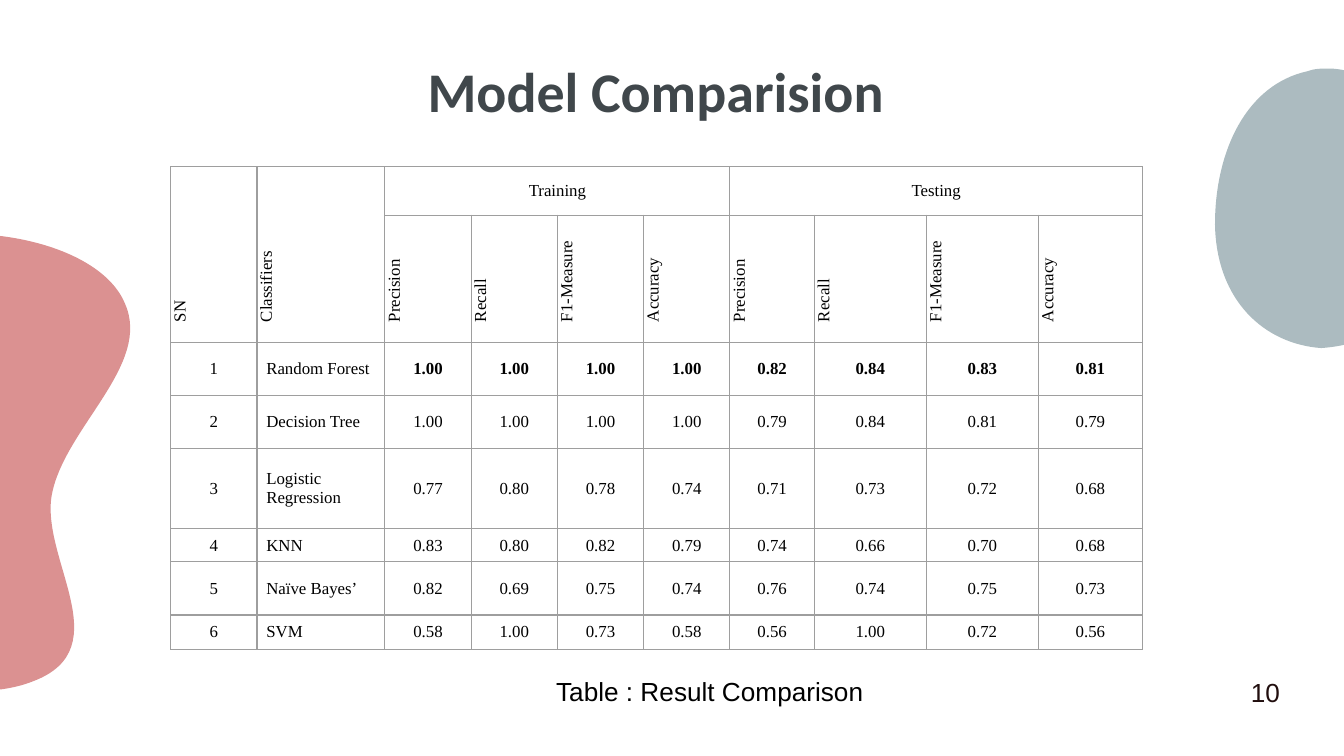
from math import cos, radians, sin
from lxml.etree import SubElement
from pptx import Presentation
from pptx.dml.color import RGBColor
from pptx.enum.text import MSO_ANCHOR as Anchor, PP_ALIGN as Align
from pptx.oxml.ns import qn
from pptx.util import Inches, Pt

COLORS = {
    "coral": "DB9191", "mist": "ACBBC0", "title": "40474B",
    "ink": "000000", "number": "210E0E", "grid": "9E9E9E",
}
UNITS_PER_INCH = 1000
CORAL_CENTER = (-1.31, 2.78)
CORAL_BLOB = [
    (-1.7, 1.12),
    (-1.62, 1.6), (-1.61, 2.1), (-0.92, 1.85),
    (-0.24, 1.6), (0.74, 1.8), (0.93, 2.26),
    (1.13, 2.71), (0.5, 3.17), (0.39, 3.66),
    (0.28, 4.14), (0.9, 4.82), (0.25, 5.07),
    (-0.39, 5.33), (-1.81, 4.88), (-1.53, 4.17),
    (-1.26, 3.45), (-1.92, 3.09), (-2.49, 2.68),
    (-3.06, 2.26), (-3.57, 1.06), (-2.88, 0.65),
    (-2.18, 0.24), (-1.77, 0.63), (-1.7, 1.12),
]
MIST_BLOB = [
    (9.88, 0.51),
    (9.83, 0.51), (9.78, 0.51), (9.73, 0.53),
    (9.27, 0.63), (9.04, 1.13), (9.04, 1.67),
    (9.05, 2.24), (9.41, 2.56), (9.83, 2.59),
    (10.39, 2.55), (10.55, 2.21), (10.59, 1.65),
    (10.63, 1.13), (10.38, 0.51), (9.88, 0.51),
]
COLUMN_SPANS = [6.42, 9.52, 6.42, 6.42, 6.42, 6.42, 6.28, 8.34, 8.34, 7.74]
ROW_SPANS = [3.61, 9.45, 3.96, 3.96, 5.97, 2.47, 3.96, 2.55]
MEASURES = ["Precision", "Recall", "F1-Measure", "Accuracy"]
RESULTS = [
    ("Random Forest", "1.00 1.00 1.00 1.00 0.82 0.84 0.83 0.81"),
    ("Decision Tree", "1.00 1.00 1.00 1.00 0.79 0.84 0.81 0.79"),
    ("Logistic Regression", "0.77 0.80 0.78 0.74 0.71 0.73 0.72 0.68"),
    ("KNN", "0.83 0.80 0.82 0.79 0.74 0.66 0.70 0.68"),
    ("Naïve Bayes’", "0.82 0.69 0.75 0.74 0.76 0.74 0.75 0.73"),
    ("SVM", "0.58 1.00 0.73 0.58 0.56 1.00 0.72 0.56"),
]


def grid(units):
    return Inches(units / 10)


def style(paragraph, font_name, size, color, bold=False, align=Align.LEFT):
    paragraph.alignment = align
    font = paragraph.font
    font.name, font.size, font.bold = font_name, Pt(size), bold
    font.color.rgb = RGBColor.from_string(COLORS[color])


def turn_back(points, center, degrees):
    c, s = cos(radians(degrees)), sin(radians(degrees))
    offsets = [(x - center[0], y - center[1]) for x, y in points]
    return [(center[0] + x * c + y * s, center[1] - x * s + y * c) for x, y in offsets]


def bend_segments(outline):
    segments = list(outline._element.iter(qn("a:lnTo")))
    for i in range(0, len(segments), 3):
        curve = segments[i]
        bezier = curve.getparent().makeelement(qn("a:cubicBezTo"))
        curve.addprevious(bezier)
        for segment in segments[i:i + 3]:
            bezier.append(segment[0])
            segment.getparent().remove(segment)


def add_blob(slide, points, color, rotation=0):
    start, *rest = [(x * UNITS_PER_INCH, y * UNITS_PER_INCH) for x, y in points]
    outline = slide.shapes.build_freeform(*start, scale=Inches(1) / UNITS_PER_INCH)
    outline.add_line_segments(rest, close=True)
    blob = outline.convert_to_shape()
    segments = list(blob._element.iter(qn("a:lnTo")))
    for extra in segments[len(rest):]:
        extra.getparent().remove(extra)
    bend_segments(blob)
    blob.rotation = rotation
    blob.shadow.inherit = False
    blob.fill.solid()
    blob.fill.fore_color.rgb = RGBColor.from_string(COLORS[color])
    blob.line.fill.background()


def add_label(slide, text, box, anchor, wrap=True, **look):
    frame = slide.shapes.add_textbox(*map(grid, box)).text_frame
    frame.word_wrap = wrap
    frame.vertical_anchor = anchor
    frame.text = text
    style(frame.paragraphs[0], **look)
    return frame


def add_borders(cell):
    properties = cell._tc.get_or_add_tcPr()
    for side in ("lnL", "lnR", "lnT", "lnB"):
        line = SubElement(properties, qn(f"a:{side}"), w=str(Pt(0.75)))
        fill = SubElement(line, qn("a:solidFill"))
        SubElement(fill, qn("a:srgbClr"), val=COLORS["grid"])


def fill_cell(cell, text, align=Align.CENTER, bold=False, upright=False):
    cell.text = text
    cell.vertical_anchor = Anchor.MIDDLE
    cell.margin_left = cell.margin_right = grid(0.7)
    cell.margin_top = cell.margin_bottom = 0
    add_borders(cell)
    cell.fill.background()
    paragraph = cell.text_frame.paragraphs[0]
    style(paragraph, "Times New Roman", 9, "ink", bold, align)
    if upright:
        cell._tc.tcPr.set("vert", "vert270")
        paragraph.space_before = Pt(5)
        paragraph._p.get_or_add_pPr().set("marL", str(grid(0.8)))


def add_results(slide):
    table = slide.shapes.add_table(
        len(ROW_SPANS), len(COLUMN_SPANS), grid(12.7), grid(12.4),
        grid(sum(COLUMN_SPANS)), grid(sum(ROW_SPANS)),
    ).table
    table.first_row = table.horz_banding = False
    for column, span in zip(table.columns, COLUMN_SPANS):
        column.width = grid(span)
    for row, span in zip(table.rows, ROW_SPANS):
        row.height = grid(span)

    groups = ["SN", "Classifiers", "Training", "", "", "", "Testing", "", "", ""]
    for c, text in enumerate(groups):
        upright = c < 2
        fill_cell(table.cell(0, c), text, Align.LEFT if upright else Align.CENTER,
                  upright=upright)
    for c, text in enumerate(["", ""] + MEASURES * 2):
        fill_cell(table.cell(1, c), text, Align.LEFT, upright=True)
    table.cell(0, 0).text_frame.paragraphs[0].alignment = Align.JUSTIFY

    for number, (classifier, scores) in enumerate(RESULTS, start=1):
        for c, text in enumerate([str(number), classifier] + scores.split()):
            fill_cell(table.cell(number + 1, c), text,
                      Align.LEFT if c == 1 else Align.CENTER,
                      bold=number == 1 and c > 1)

    for c in (0, 1):
        table.cell(0, c).merge(table.cell(1, c))
    for c in (2, 6):
        table.cell(0, c).merge(table.cell(0, c + 3))


def main():
    deck = Presentation()
    deck.slide_width, deck.slide_height = grid(100), grid(56.25)
    slide = deck.slides.add_slide(deck.slide_layouts[6])
    add_blob(slide, turn_back(CORAL_BLOB, CORAL_CENTER, 11.2), "coral", 11.2)
    add_blob(slide, MIST_BLOB, "mist")
    title = add_label(slide, "Model Comparision", (6.6, 4.3, 84.4, 5.9), Anchor.BOTTOM,
                      font_name="Calibri", size=30, color="title", bold=True,
                      align=Align.CENTER)
    title.margin_top = title.margin_bottom = grid(1)
    add_label(slide, "Table : Result Comparison", (40.4, 49.8, 25.3, 3.4), Anchor.TOP,
              wrap=False, font_name="Arial", size=14, color="ink")
    add_label(slide, "10", (91.3, 49.1, 5.7, 4.8), Anchor.MIDDLE,
              font_name="Arial", size=14, color="number", align=Align.CENTER)
    add_results(slide)
    deck.save("out.pptx")


if __name__ == "__main__":
    main()
